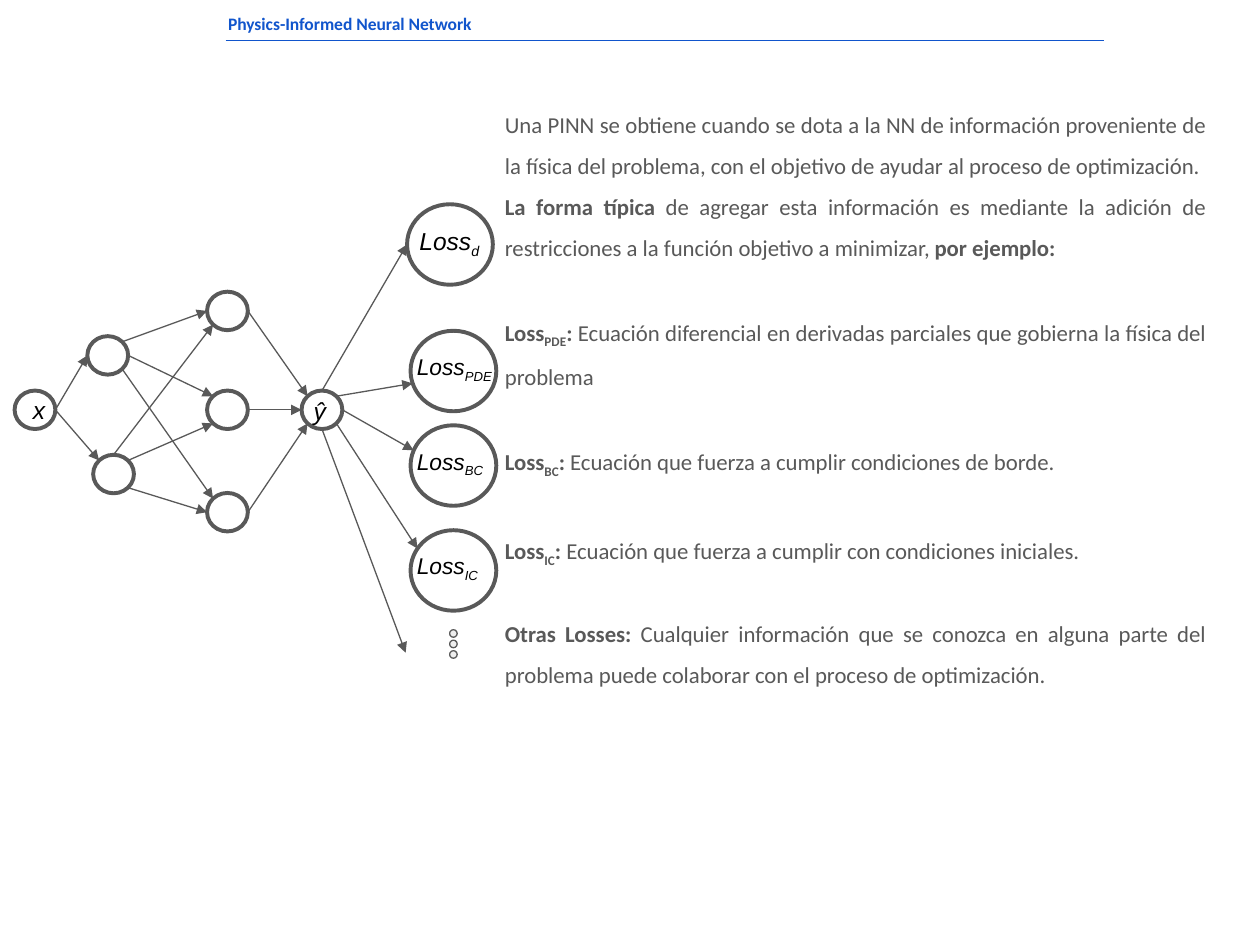
import math

import pptx
import pptx.dml.color
import pptx.enum.shapes
import pptx.enum.text
import pptx.oxml.ns
import pptx.util
from lxml import etree

Pt = pptx.util.Pt
RGBColor = pptx.dml.color.RGBColor
Shape = pptx.enum.shapes.MSO_SHAPE
Connector = pptx.enum.shapes.MSO_CONNECTOR
Align = pptx.enum.text.PP_ALIGN
Anchor = pptx.enum.text.MSO_ANCHOR
qn = pptx.oxml.ns.qn

GREY = RGBColor(0x59, 0x59, 0x59)
BLUE = RGBColor(0x11, 0x55, 0xCC)
PALE = RGBColor(0xEE, 0xEE, 0xEE)
BLACK = RGBColor(0, 0, 0)

# Runs are (text, style): b = bold, s = subscript.
HEADING = [(0, [("Physics-Informed Neural Network", "b")])]
# Paragraphs are (space before, runs).
EXPLANATION = [
    (0, [("Una PINN se obtiene cuando se dota a la NN de información proveniente de la física "
          "del problema, con el objetivo de ayudar al proceso de optimización.", "")]),
    (0, [("La forma típica ", "b"),
         ("de agregar esta información es mediante la adición de restricciones a la función "
          "objetivo a minimizar, ", ""),
         ("por ejemplo:", "b")]),
    (24, [("Loss", "b"), ("PDE", "bs"), (":", "b"),
          (" Ecuación diferencial en derivadas parciales que gobierna la física del problema", "")]),
    (24, [("Loss", "b"), ("BC", "bs"), (": ", "b"),
          ("Ecuación que fuerza a cumplir condiciones de borde.", "")]),
    (24, [("Loss", "b"), ("IC", "bs"), (":", "b"),
          (" Ecuación que fuerza a cumplir con condiciones iniciales.", "")]),
    (22, [("Otras Losses: ", "b"),
          ("Cualquier información que se conozca en alguna parte del problema puede colaborar "
           "con el proceso de optimización.", "")]),
]

NEURON = (23.3, 22)
LOSS = (49, 46)
DOT = (4.3, 4.3)
NODES = {  # centre x, centre y, size
    "input": (20, 234.2, NEURON),
    "first upper": (61.6, 203.1, NEURON),
    "first lower": (64.9, 270.9, NEURON),
    "second top": (130, 177.7, NEURON),
    "second middle": (130, 234.2, NEURON),
    "second bottom": (130, 292.7, NEURON),
    "output": (184, 234.2, NEURON),
    "d": (257.1, 139.7, LOSS),
    "PDE": (259.1, 212, LOSS),
    "BC": (259.1, 266, LOSS),
    "IC": (259.1, 326, LOSS),
    "others": (231.8, 373, (0, 0)),
}
# Angles run clockwise from the right-hand side of a node.
RIGHT, LOWER_RIGHT, BOTTOM, LOWER_LEFT = 0, 45, 90, 135
LEFT, UPPER_LEFT, TOP, UPPER_RIGHT = 180, 225, 270, 315
ARROWS = [
    ("input", RIGHT, "first upper", LEFT),
    ("input", RIGHT, "first lower", UPPER_LEFT),
    ("first upper", UPPER_RIGHT, "second top", LEFT),
    ("first upper", RIGHT, "second middle", UPPER_LEFT),
    ("first upper", LOWER_RIGHT, "second bottom", UPPER_LEFT),
    ("first lower", TOP, "second top", LOWER_LEFT),
    ("first lower", UPPER_RIGHT, "second middle", LOWER_LEFT),
    ("first lower", LOWER_RIGHT, "second bottom", LEFT),
    ("second top", RIGHT, "output", UPPER_LEFT),
    ("second middle", RIGHT, "output", LEFT),
    ("second bottom", RIGHT, "output", LOWER_LEFT),
    ("output", TOP, "d", LEFT),
    ("output", UPPER_RIGHT, "PDE", 162),
    ("output", RIGHT, "BC", 202),
    ("output", LOWER_RIGHT, "IC", 213),
    ("output", BOTTOM, "others", LEFT),
]
LABELS = [  # left, top, width, height, size, runs
    (172.1, 218.9, 45.4, 31.7, 14, [("ŷ", "")]),
    (232.6, 121.7, 66.2, 31.7, 14, [("Loss", ""), ("d", "s")]),
    (231.1, 194.4, 66.2, 30.2, 13, [("Loss", ""), ("PDE", "s")]),
    (231.1, 248.4, 66.2, 30.2, 13, [("Loss", ""), ("BC", "s")]),
    (231.1, 308.2, 66.2, 30.2, 13, [("Loss", ""), ("IC", "s")]),
]


def write(frame, paragraphs, size, font="Calibri", color=GREY, italic=False,
          align=Align.LEFT, anchor=Anchor.TOP, spacing=1.0):
    frame.word_wrap = True
    frame.auto_size = pptx.enum.text.MSO_AUTO_SIZE.NONE
    frame.vertical_anchor = anchor
    frame.margin_left = frame.margin_right = Pt(7.2)
    frame.margin_top = frame.margin_bottom = Pt(7.2)
    for number, (space_before, runs) in enumerate(paragraphs):
        paragraph = frame.add_paragraph() if number else frame.paragraphs[0]
        properties = paragraph._p.get_or_add_pPr()
        properties.set("marL", "0")
        properties.set("indent", "0")
        etree.SubElement(properties, qn("a:buNone"))
        paragraph.alignment = align
        paragraph.line_spacing = spacing
        paragraph.space_before = Pt(space_before)
        paragraph.space_after = Pt(0)
        for text, style in runs:
            run = paragraph.add_run()
            run.text = text
            run.font.name = font
            run.font.size = Pt(size)
            run.font.color.rgb = color
            run.font.italic = italic
            run.font.bold = "b" in style
            if "s" in style:
                run._r.get_or_add_rPr().set("baseline", "-25000")


def place(part, left, top, width, height):
    part.left, part.top, part.width, part.height = map(Pt, (left, top, width, height))


def add_circle(slide, x, y, size, weight, fill=None):
    width, height = size
    circle = slide.shapes.add_shape(Shape.OVAL, Pt(x - width / 2), Pt(y - height / 2),
                                    Pt(width), Pt(height))
    circle.shadow.inherit = False
    if fill is None:
        circle.fill.background()
    else:
        circle.fill.solid()
        circle.fill.fore_color.rgb = fill
    circle.line.color.rgb = GREY
    circle.line.width = Pt(weight)
    return circle


def add_line(slide, start, end, color, arrow=False):
    line = slide.shapes.add_connector(Connector.STRAIGHT, *map(Pt, (*start, *end)))
    line.line.color.rgb = color
    line.line.width = Pt(0.75)
    properties = line._element.spPr
    if arrow:
        etree.SubElement(properties.find(qn("a:ln")), qn("a:tailEnd"), type="triangle")
    etree.SubElement(properties, qn("a:effectLst"))


def rim_point(node, angle):
    x, y, (width, height) = NODES[node]
    turn = math.radians(angle)
    return x + width / 2 * math.cos(turn), y + height / 2 * math.sin(turn)


def main():
    deck = pptx.Presentation()
    deck.slide_width, deck.slide_height = Pt(720), Pt(540)
    slide = deck.slides.add_slide(deck.slide_layouts[1])

    heading = slide.shapes.title
    place(heading, 123.1, 0, 496, 28)
    write(heading.text_frame, HEADING, size=10, color=BLUE)
    add_line(slide, (129, 23), (631, 23), BLUE)

    explanation = slide.placeholders[1]
    place(explanation, 281.3, 48.2, 414.7, 350.6)
    write(explanation.text_frame, EXPLANATION, size=13, align=Align.JUSTIFY, spacing=1.5)

    for name, (x, y, size) in NODES.items():
        if name == "others":
            continue
        circle = add_circle(slide, x, y, size, 2.25)
        if name == "input":
            write(circle.text_frame, [(0, [("x", "")])], size=14, font="Arial", color=BLACK,
                  italic=True, align=Align.CENTER, anchor=Anchor.MIDDLE)
    for source, exit_angle, target, entry_angle in ARROWS:
        add_line(slide, rim_point(source, exit_angle), rim_point(target, entry_angle),
                 GREY, arrow=True)
    for number in range(3):
        add_circle(slide, 259.1, 362 + 6 * number, DOT, 0.75, PALE)

    for left, top, width, height, size, runs in LABELS:
        label = slide.shapes.add_textbox(*map(Pt, (left, top, width, height)))
        write(label.text_frame, [(0, runs)], size=size, font="Arial", color=BLACK, italic=True)

    deck.save("out.pptx")


if __name__ == "__main__":
    main()
